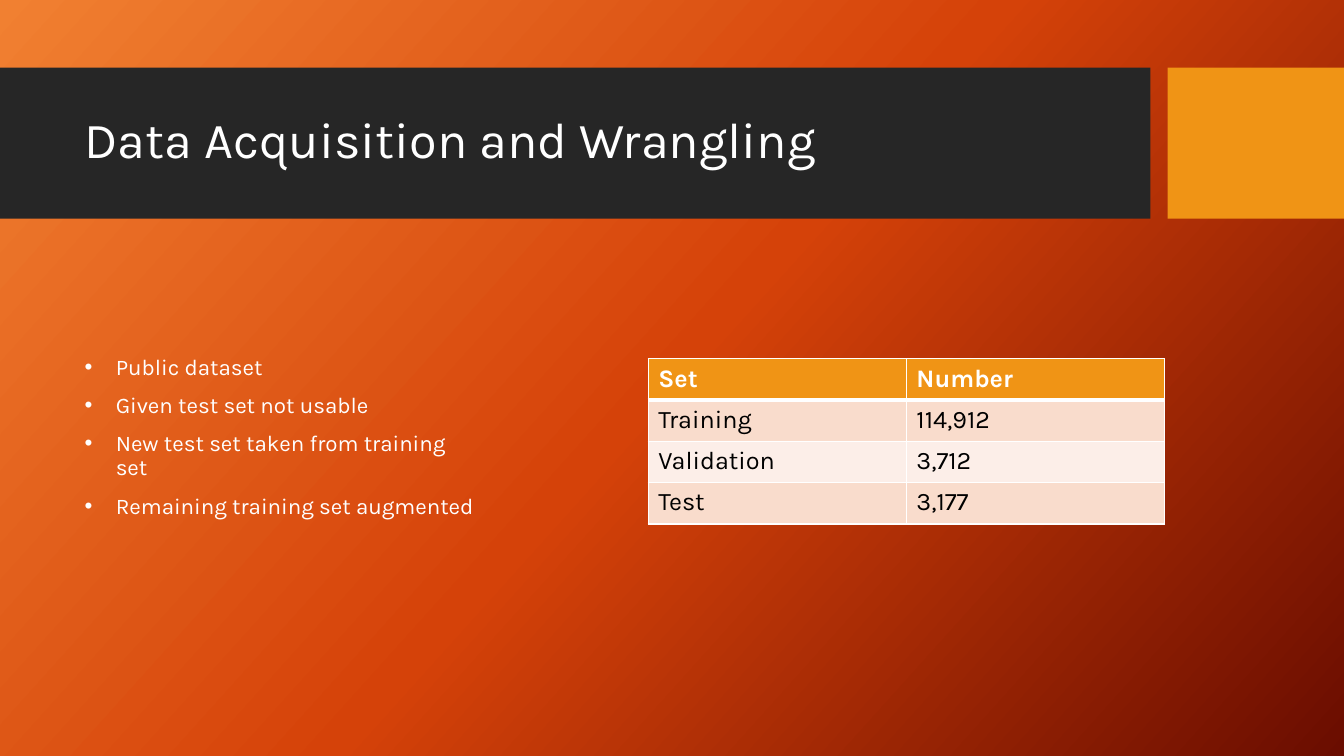
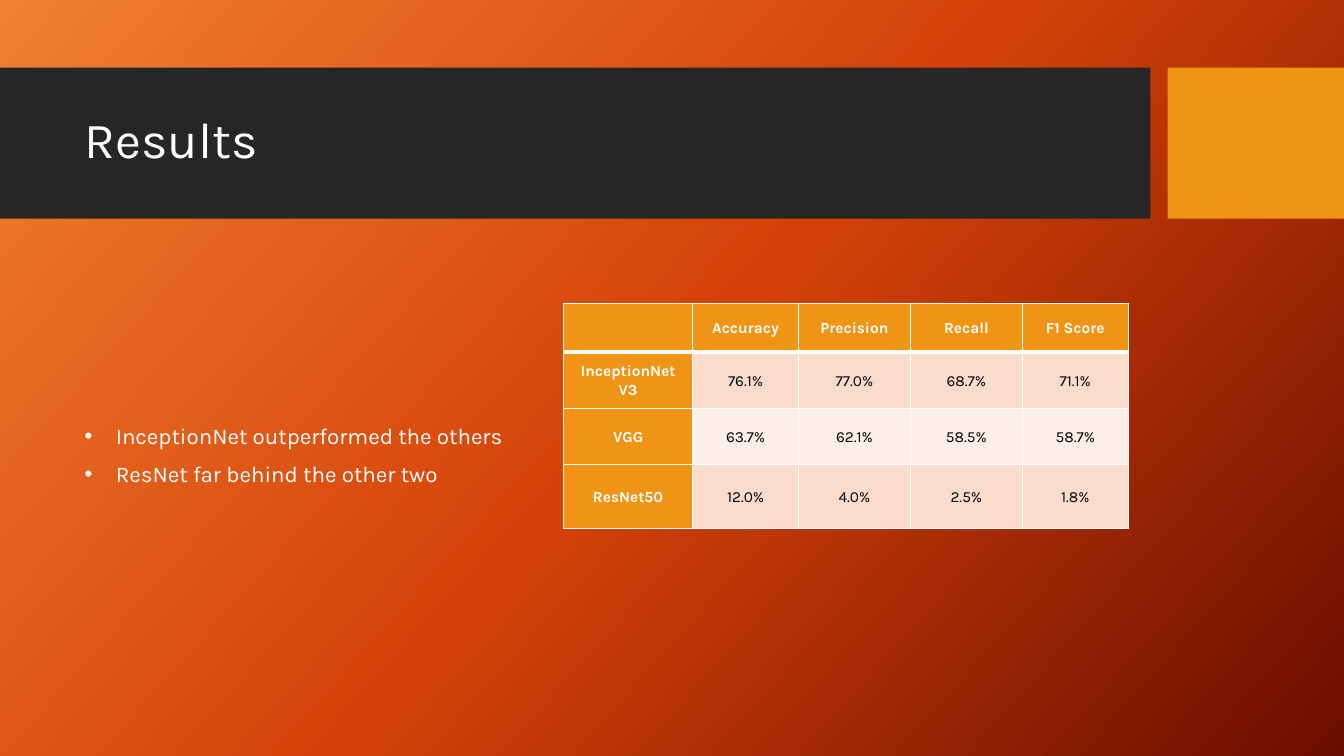
from copy import deepcopy

from lxml.etree import SubElement
from pptx import Presentation
from pptx.dml.color import RGBColor
from pptx.enum.shapes import MSO_SHAPE as Shape
from pptx.enum.text import MSO_ANCHOR as Anchor, PP_ALIGN as Align
from pptx.oxml.ns import qn
from pptx.util import Inches, Pt

FONT = "Karla"
WHITE = RGBColor(0xFF, 0xFF, 0xFF)
BLACK = RGBColor(0x00, 0x00, 0x00)
CHARCOAL = RGBColor(0x26, 0x26, 0x26)
AMBER = RGBColor(0xF0, 0x94, 0x15)
ROW_TINTS = (RGBColor(0xF9, 0xDC, 0xCC), RGBColor(0xFC, 0xEE, 0xE8))
GRADIENT = (
    (0, RGBColor(0xF1, 0x80, 0x31)),
    (0.5, RGBColor(0xD5, 0x42, 0x09)),
    (1, RGBColor(0x6A, 0x0D, 0x00)),
)
GRADIENT_ANGLE = 360 - 42

BAND_TOP, BAND_HEIGHT = 0.67, 1.5
BANDS = ((0, 11.41, CHARCOAL), (11.58, 1.75, AMBER))
TEXT_LEFT, BODY_TOP = 0.74, 2.56
BULLET_INDENT = Inches(0.31)

TITLE_FORMAT = {"line_spacing": 0.9}
BULLET_FORMAT = {"line_spacing": 0.9, "space_before": Pt(10)}
SET_TABLE = {"size": 18, "cell": {}, "paragraph": {}}
SCORE_TABLE = {
    "size": 11,
    "cell": {
        "vertical_anchor": Anchor.MIDDLE,
        "margin_left": Inches(0.07),
        "margin_right": Inches(0.07),
        "margin_top": 0,
        "margin_bottom": 0,
    },
    "paragraph": {"alignment": Align.CENTER, "line_spacing": 1.1},
}


def apply_format(target, values):
    for name, value in values.items():
        setattr(target, name, value)


def write_text(paragraph, text, size, color=WHITE, bold=False):
    run = paragraph.add_run()
    run.text = text
    apply_format(run.font, {"name": FONT, "size": Pt(size), "bold": bold})
    run.font.color.rgb = color


def set_background(master):
    fill = master.background.fill
    fill.gradient()
    fill.gradient_angle = GRADIENT_ANGLE
    stop_list = next(master.element.iter(qn("a:gsLst")))
    stop_list.append(deepcopy(stop_list[0]))
    for stop, (position, color) in zip(fill.gradient_stops, GRADIENT):
        stop.position = position
        stop.color.rgb = color


def add_band(slide, left, width, color):
    band = slide.shapes.add_shape(
        Shape.RECTANGLE, Inches(left), Inches(BAND_TOP), Inches(width), Inches(BAND_HEIGHT)
    )
    band.shadow.inherit = False
    band.fill.solid()
    band.fill.fore_color.rgb = color
    band.line.fill.background()


def add_text_frame(slide, top, width, height):
    box = slide.shapes.add_textbox(
        Inches(TEXT_LEFT), Inches(top), Inches(width), Inches(height)
    )
    frame = box.text_frame
    apply_format(frame, {"word_wrap": True, "vertical_anchor": Anchor.MIDDLE})
    return frame


def add_titled_slide(presentation, title):
    slide = presentation.slides.add_slide(presentation.slide_layouts[6])
    for left, width, color in BANDS:
        add_band(slide, left, width, color)
    paragraph = add_text_frame(slide, 0.82, 10.51, 1.18).paragraphs[0]
    apply_format(paragraph, TITLE_FORMAT)
    write_text(paragraph, title, 36)
    return slide


def add_bullets(slide, width, height, items):
    frame = add_text_frame(slide, BODY_TOP, width, height)
    for index, item in enumerate(items):
        paragraph = frame.add_paragraph() if index else frame.paragraphs[0]
        apply_format(paragraph, BULLET_FORMAT)
        properties = paragraph._p.get_or_add_pPr()
        properties.set("marL", str(BULLET_INDENT))
        properties.set("indent", str(-BULLET_INDENT))
        SubElement(properties, qn("a:buFont"), typeface="Arial")
        SubElement(properties, qn("a:buChar"), char="•")
        write_text(paragraph, item, 16)


def add_borders(cell, row_index):
    widths = {
        "L": 1,
        "R": 1,
        "T": 3 if row_index == 1 else 1,
        "B": 3 if row_index == 0 else 1,
    }
    properties = cell._tc.get_or_add_tcPr()
    for side, width in widths.items():
        line = SubElement(properties, qn(f"a:ln{side}"), w=str(Pt(width)))
        fill = SubElement(line, qn("a:solidFill"))
        SubElement(fill, qn("a:srgbClr"), val=str(WHITE))


def add_data_table(slide, left, top, widths, heights, rows, style, row_headers=False):
    table = slide.shapes.add_table(
        len(rows), len(widths), Inches(left), Inches(top),
        Inches(sum(widths)), Inches(sum(heights)),
    ).table
    for column, width in zip(table.columns, widths):
        column.width = Inches(width)
    for row, height in zip(table.rows, heights):
        row.height = Inches(height)
    for row_index, values in enumerate(rows):
        for column_index, value in enumerate(values):
            is_header = row_index == 0 or (row_headers and column_index == 0)
            cell = table.cell(row_index, column_index)
            apply_format(cell, style["cell"])
            add_borders(cell, row_index)
            cell.fill.solid()
            cell.fill.fore_color.rgb = AMBER if is_header else ROW_TINTS[(row_index - 1) % 2]
            paragraph = cell.text_frame.paragraphs[0]
            apply_format(paragraph, style["paragraph"])
            if value:
                color = WHITE if is_header else BLACK
                write_text(paragraph, value, style["size"], color, is_header)


def add_data_slide(presentation):
    slide = add_titled_slide(presentation, "Data Acquisition and Wrangling")
    rows = (
        ("Set", "Number"),
        ("Training", "114,912"),
        ("Validation", "3,712"),
        ("Test", "3,177"),
    )
    add_data_table(slide, 6.43, 3.56, (2.56,) * 2, (0.41,) * 4, rows, SET_TABLE)
    add_bullets(slide, 4.14, 3.56, (
        "Public dataset",
        "Given test set not usable",
        "New test set taken from training set",
        "Remaining training set augmented",
    ))


def add_results_slide(presentation):
    slide = add_titled_slide(presentation, "Results")
    rows = (
        ("", "Accuracy", "Precision", "Recall", "F1 Score"),
        ("InceptionNet V3", "76.1%", "77.0%", "68.7%", "71.1%"),
        ("VGG", "63.7%", "62.1%", "58.5%", "58.7%"),
        ("ResNet50", "12.0%", "4.0%", "2.5%", "1.8%"),
    )
    add_data_table(
        slide, 5.59, 3.01, (1.28, 1.05, 1.11, 1.11, 1.05), (0.48, 0.56, 0.56, 0.63),
        rows, SCORE_TABLE, row_headers=True,
    )
    add_bullets(slide, 4.38, 3.94, (
        "InceptionNet outperformed the others",
        "ResNet far behind the other two",
    ))


def main():
    presentation = Presentation()
    apply_format(presentation, {"slide_width": Inches(13.33), "slide_height": Inches(7.5)})
    set_background(presentation.slide_master)
    add_data_slide(presentation)
    add_results_slide(presentation)
    presentation.save("out.pptx")


if __name__ == "__main__":
    main()
